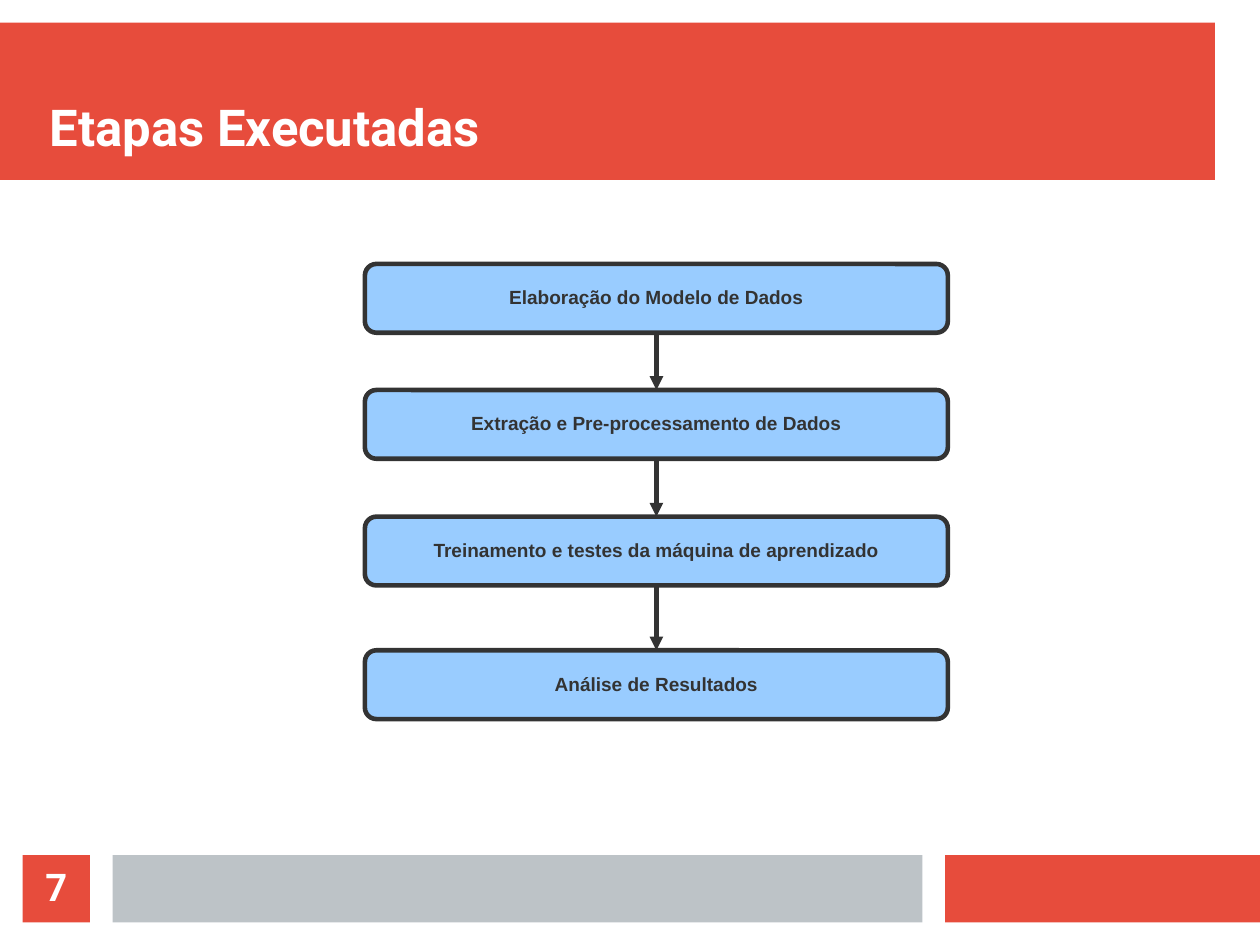
import pptx
import pptx.dml.color
import pptx.enum.shapes
import pptx.enum.text
import pptx.oxml
import pptx.oxml.ns
import pptx.util

Pt = pptx.util.Pt
ANCHOR = pptx.enum.text.MSO_ANCHOR
ALIGN = pptx.enum.text.PP_ALIGN
SHAPE = pptx.enum.shapes.MSO_SHAPE

# Content
TITLE = "Etapas Executadas"
PAGE_NUMBER = "7"
STEPS = [  # text, top
    ("Elaboração do Modelo de Dados", 166.3),
    ("Extração e Pre-processamento de Dados", 245.7),
    ("Treinamento e testes da máquina de aprendizado", 325.5),
    ("Análise de Resultados", 409.7),
]

THEME = {
    "red": "E74C3C", "gray": "BDC3C7", "blue": "99CCFF",
    "dark": "333333", "white": "FFFFFF",
    "heading_font": "Roboto", "step_font": "Arial",
    "title_size": 32, "number_size": 24, "step_size": 12, "line": 2.89,
}

# Layout, in points
SLIDE_WIDTH, SLIDE_HEIGHT = 793.7, 595.3
STEP_LEFT, STEP_WIDTH, STEP_HEIGHT = 229.9, 367.2, 43.3
FOOTER_TOP, FOOTER_HEIGHT = 538.6, 42.5
BANNER = (0, 14.2, 765.4, 99.2)
TITLE_BOX = (31.2, 28.3, 737, 70.9)
FOOTER_BARS = [  # left, width, colour
    (595.3, 198.4, "red"),
    (70.9, 510.2, "gray"),
]
NUMBER_BOX = (14.2, FOOTER_TOP, FOOTER_HEIGHT, FOOTER_HEIGHT)


def rgb(name):
    return pptx.dml.color.RGBColor.from_string(THEME[name])


def add_block(slide, kind, box, fill, line=None):
    shape = slide.shapes.add_shape(kind, *[Pt(value) for value in box])
    shape.shadow.inherit = False
    shape.fill.solid()
    shape.fill.fore_color.rgb = rgb(fill)
    if line:
        shape.line.color.rgb = rgb(line)
        shape.line.width = Pt(THEME["line"])
    else:
        shape.line.fill.background()
    return shape


def write_text(shape, text, *, font, size, color, align=ALIGN.CENTER,
               anchor=ANCHOR.MIDDLE, spacing=0.93, margins=(0, 0, 0, 0), wrap=True):
    frame = shape.text_frame
    frame.auto_size = pptx.enum.text.MSO_AUTO_SIZE.NONE
    frame.word_wrap = wrap
    frame.vertical_anchor = anchor
    (frame.margin_left, frame.margin_top,
     frame.margin_right, frame.margin_bottom) = [Pt(value) for value in margins]
    paragraph = frame.paragraphs[0]
    paragraph.alignment = align
    paragraph.line_spacing = spacing
    run = paragraph.add_run()
    run.text = text
    run.font.name = THEME[font]
    run.font.size = Pt(THEME[size])
    run.font.bold = True
    run.font.color.rgb = rgb(color)


def add_arrow(slide, upper, lower):
    arrow = slide.shapes.add_connector(
        pptx.enum.shapes.MSO_CONNECTOR.STRAIGHT, 0, 0, 0, 0)
    arrow.begin_connect(upper, 2)
    arrow.end_connect(lower, 0)
    arrow.line.color.rgb = rgb("dark")
    arrow.line.width = Pt(THEME["line"])
    line = arrow.line._get_or_add_ln()
    pptx.oxml.ns.qn("a:tailEnd")
    head = pptx.oxml.parse_xml(
        '<a:tailEnd xmlns:a="http://schemas.openxmlformats.org/drawingml/2006/main"'
        ' type="triangle"/>')
    line.append(head)
    properties = arrow.element.spPr
    properties.append(properties.makeelement(pptx.oxml.ns.qn("a:effectLst"), {}))


def main():
    presentation = pptx.Presentation()
    presentation.slide_width = Pt(SLIDE_WIDTH)
    presentation.slide_height = Pt(SLIDE_HEIGHT)
    slide = presentation.slides.add_slide(presentation.slide_layouts[5])

    # Banner and footer
    add_block(slide, SHAPE.RECTANGLE, BANNER, "red")
    for left, width, color in FOOTER_BARS:
        add_block(slide, SHAPE.RECTANGLE, (left, FOOTER_TOP, width, FOOTER_HEIGHT), color)
    number = add_block(slide, SHAPE.RECTANGLE, NUMBER_BOX, "red")
    write_text(number, PAGE_NUMBER, font="heading_font", size="number_size", color="white")

    # Title, brought in front of the banner
    title = slide.shapes.title
    title.left, title.top, title.width, title.height = [Pt(value) for value in TITLE_BOX]
    write_text(title, TITLE, font="heading_font", size="title_size", color="white",
               align=ALIGN.LEFT, anchor=ANCHOR.BOTTOM, margins=(0, 2, 0, 0))
    title.element.getparent().append(title.element)

    # Steps and the arrows between them
    boxes = []
    for text, top in STEPS:
        box = add_block(slide, SHAPE.FLOWCHART_ALTERNATE_PROCESS,
                        (STEP_LEFT, top, STEP_WIDTH, STEP_HEIGHT), "blue", line="dark")
        write_text(box, text, font="step_font", size="step_size", color="dark",
                   spacing=0.97, margins=(8.5, 5, 8.5, 5), wrap=False)
        boxes.append(box)
    for upper, lower in zip(boxes, boxes[1:]):
        add_arrow(slide, upper, lower)

    presentation.save("out.pptx")


if __name__ == "__main__":
    main()
